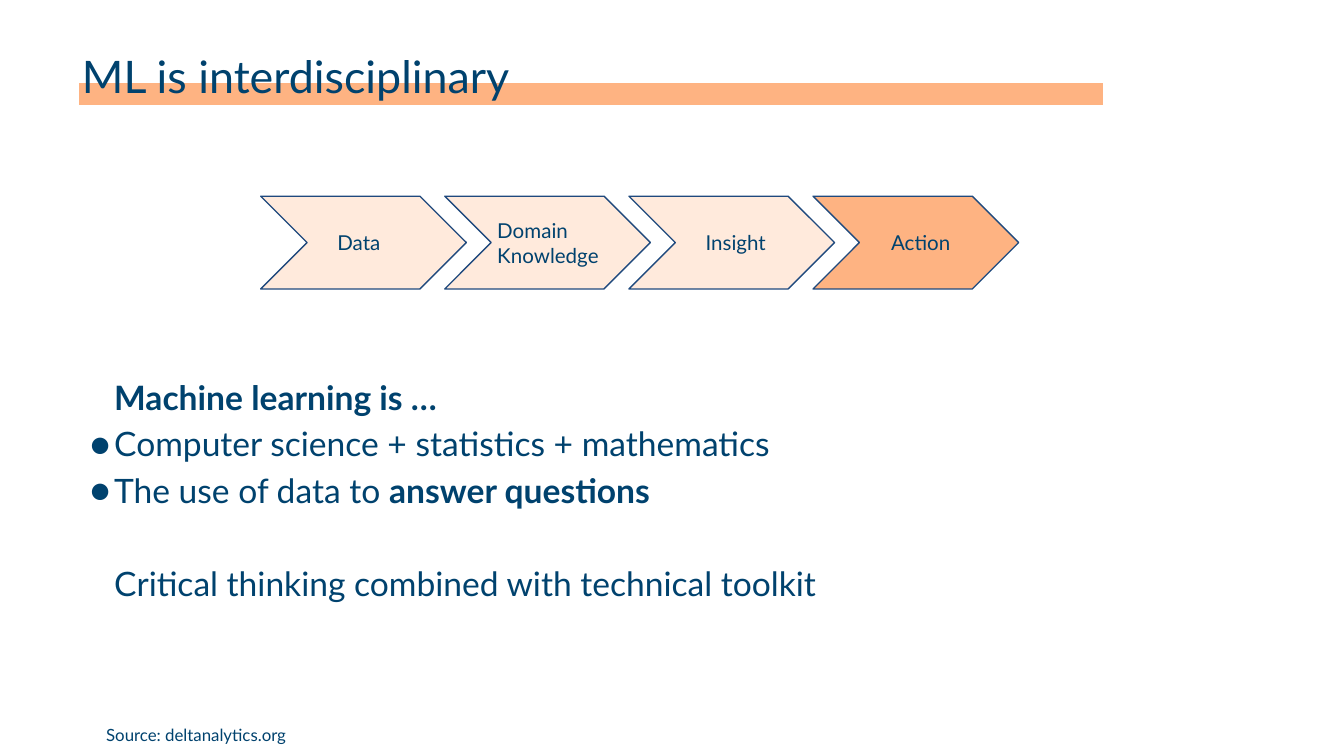
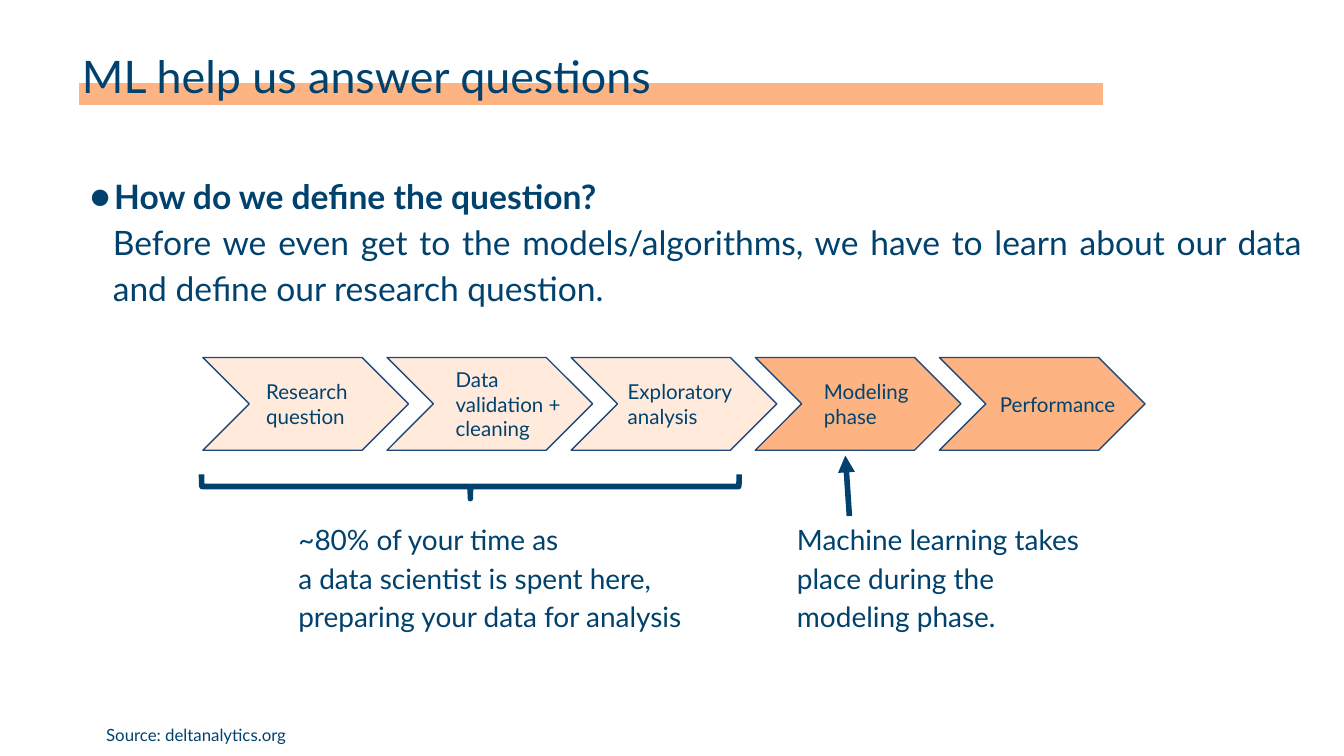
import pptx
import pptx.dml.color
import pptx.enum.shapes
import pptx.enum.text
import pptx.oxml.ns
import pptx.util
from lxml import etree

Inches = pptx.util.Inches
Pt = pptx.util.Pt
qn = pptx.oxml.ns.qn
SHAPES = pptx.enum.shapes.MSO_SHAPE
ALIGN = pptx.enum.text.PP_ALIGN
ANCHOR = pptx.enum.text.MSO_ANCHOR

FONT = "Lato"
COLORS = {"navy": "00426E", "outline": "1F497D", "orange": "FEB382", "peach": "FFEADC"}
SOURCE = "Source: deltanalytics.org"
STEP_WIDTH, STEP_HEIGHT, STEP_PITCH = 1.53, 0.69, 1.37

# Steps: label lines, label offset from the chevron's left edge, fill
DISCIPLINE_STEPS = [
    (["Data"], 0.53, "peach"),
    (["Domain", "Knowledge"], 0.35, "peach"),
    (["Insight"], 0.53, "peach"),
    (["Action"], 0.54, "orange"),
]
PROJECT_STEPS = [
    (["Research", "question"], 0.43, "peach"),
    (["Data", "validation +", "cleaning"], 0.47, "peach"),
    (["Exploratory", "analysis"], 0.38, "peach"),
    (["Modeling", "phase"], 0.47, "orange"),
    (["Performance"], 0.41, "orange"),
]

# Body paragraphs: runs as (text, bold), then paragraph options
DISCIPLINE_BODY = [
    ([("Machine learning is …", True)], {}),
    ([("Computer science + statistics + mathematics", False)], {"bullet": True}),
    ([("The use of data to ", False), ("answer questions", True)], {"bullet": True}),
    ([("Critical thinking combined with technical toolkit", False)], {"before": 25}),
]
QUESTION_BODY = [
    ([("How do we define the question?", True)], {"bullet": True}),
    ([("Before we even get to the models/algorithms, we have to learn about "
       "our data and define our research question.", False)], {"margin": 0.17}),
]
# Callouts: left edge, lines
CALLOUTS = [
    (2.03, ["~80% of your time as", "a data scientist is spent here,",
            "preparing your data for analysis"]),
    (5.74, ["Machine learning takes", "place during the", "modeling phase."]),
]


def rgb(name):
    return pptx.dml.color.RGBColor.from_string(COLORS[name])


def plain(lines, **options):
    return [([(line, False)], options) for line in lines]


def set_indent(paragraph, margin, bullet):
    properties = paragraph._p.get_or_add_pPr()
    properties.set("marL", str(Inches(margin)))
    properties.set("indent", str(Inches(-0.21) if bullet else 0))
    if bullet:
        color = etree.SubElement(properties, qn("a:buClr"))
        etree.SubElement(color, qn("a:srgbClr"), val=COLORS["navy"])
        etree.SubElement(properties, qn("a:buFont"), typeface=FONT)
        etree.SubElement(properties, qn("a:buChar"), char="●")


def add_text(slide, box, paragraphs, size, spacing=None, anchor=ANCHOR.TOP,
             inset=0.02, align=ALIGN.JUSTIFY):
    shape = slide.shapes.add_textbox(*map(Inches, box))
    frame = shape.text_frame
    frame.word_wrap = True
    frame.vertical_anchor = anchor
    frame.margin_left = frame.margin_right = Inches(inset)
    frame.margin_top = frame.margin_bottom = Inches(inset)
    for index, (runs, options) in enumerate(paragraphs):
        paragraph = frame.add_paragraph() if index else frame.paragraphs[0]
        set_indent(paragraph, options.get("margin", 0.18), options.get("bullet", False))
        paragraph.alignment = align
        if spacing:
            paragraph.line_spacing = spacing
        if "before" in options:
            paragraph.space_before = Pt(options["before"])
        for text, bold in runs:
            run = paragraph.add_run()
            run.text = text
            run.font.name = FONT
            run.font.size = Pt(size)
            run.font.bold = bold
            run.font.color.rgb = rgb("navy")


def add_line(slide, start, end, color, width, arrow=False):
    line = slide.shapes.add_connector(
        pptx.enum.shapes.MSO_CONNECTOR.STRAIGHT, *map(Inches, start + end))
    line.line.color.rgb = rgb(color)
    line.line.width = Pt(width)
    if arrow:
        etree.SubElement(line.line._get_or_add_ln(), qn("a:tailEnd"), type="triangle")
    etree.SubElement(line._element.spPr, qn("a:effectLst"))


def add_steps(slide, left, top, steps):
    for index, (lines, offset, fill) in enumerate(steps):
        x = left + index * STEP_PITCH
        chevron = slide.shapes.add_shape(
            SHAPES.CHEVRON, Inches(x), Inches(top), Inches(STEP_WIDTH), Inches(STEP_HEIGHT))
        chevron.shadow.inherit = False
        chevron.fill.solid()
        chevron.fill.fore_color.rgb = rgb(fill)
        chevron.line.color.rgb = rgb("outline")
        chevron.line.width = Pt(0.75)
        add_text(slide, (x + offset, top, 1.23, STEP_HEIGHT), plain(lines, margin=0), 11,
                 anchor=ANCHOR.MIDDLE, inset=0.04)


def add_brace(slide):
    brace = slide.shapes.add_shape(
        SHAPES.LEFT_BRACE, Inches(3.41), Inches(1.62), Inches(0.18), Inches(4))
    brace.rotation = 270
    brace.adjustments[0] = 0.02
    brace.adjustments[1] = 0.5
    brace.shadow.inherit = False
    brace.fill.background()
    brace.line.color.rgb = rgb("navy")
    brace.line.width = Pt(3)


def new_slide(presentation, title):
    slide = presentation.slides.add_slide(presentation.slide_layouts[6])
    add_text(slide, (0.59, 4.98, 8.57, 0.58), plain([SOURCE]), 9, 1.5, ANCHOR.BOTTOM)
    add_line(slide, (0.59, 0.7), (8.21, 0.7), "orange", 12)
    add_text(slide, (0.59, 0.34, 6.04, 0.36), plain([title], margin=0), 24, align=ALIGN.LEFT)
    return slide


def main():
    presentation = pptx.Presentation()
    presentation.slide_width = Inches(10)
    presentation.slide_height = presentation.slide_width * 9 // 16

    # Disciplines
    slide = new_slide(presentation, "ML is interdisciplinary")
    add_steps(slide, 1.94, 1.46, DISCIPLINE_STEPS)
    add_text(slide, (0.65, 2.74, 9.06, 0.58), DISCIPLINE_BODY, 18, 1.15)

    # Research question and project phases
    slide = new_slide(presentation, "ML help us answer questions")
    add_text(slide, (0.65, 1.24, 9.06, 0.58), QUESTION_BODY, 18, 1.15)
    add_steps(slide, 1.51, 2.66, PROJECT_STEPS)
    add_brace(slide)
    for left, lines in CALLOUTS:
        add_text(slide, (left, 3.83, 3.64, 0.58), plain(lines, margin=0.17), 15, 1.15)
    add_line(slide, (6.32, 3.84), (6.29, 3.39), "navy", 3, arrow=True)

    presentation.save("out.pptx")


if __name__ == "__main__":
    main()
